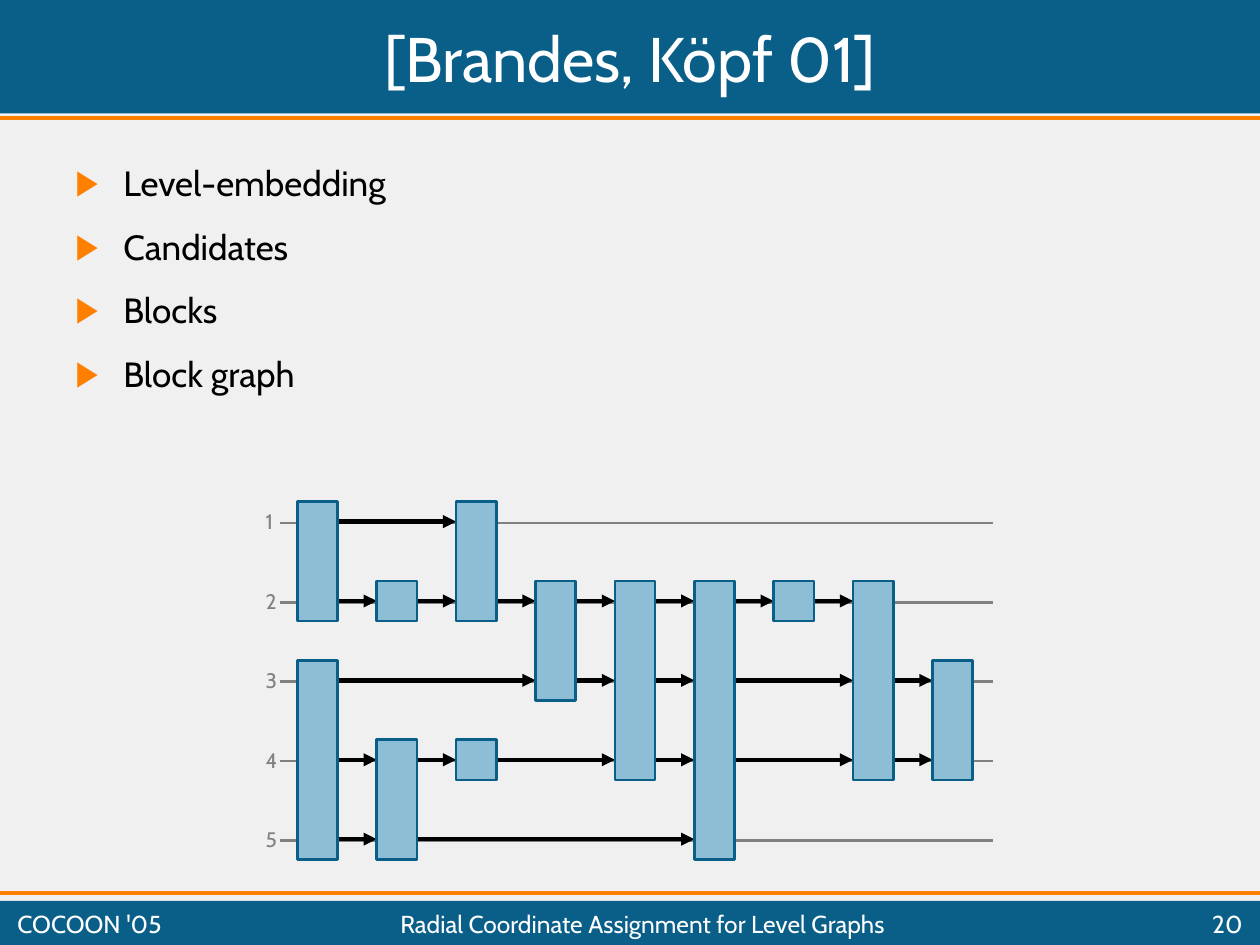
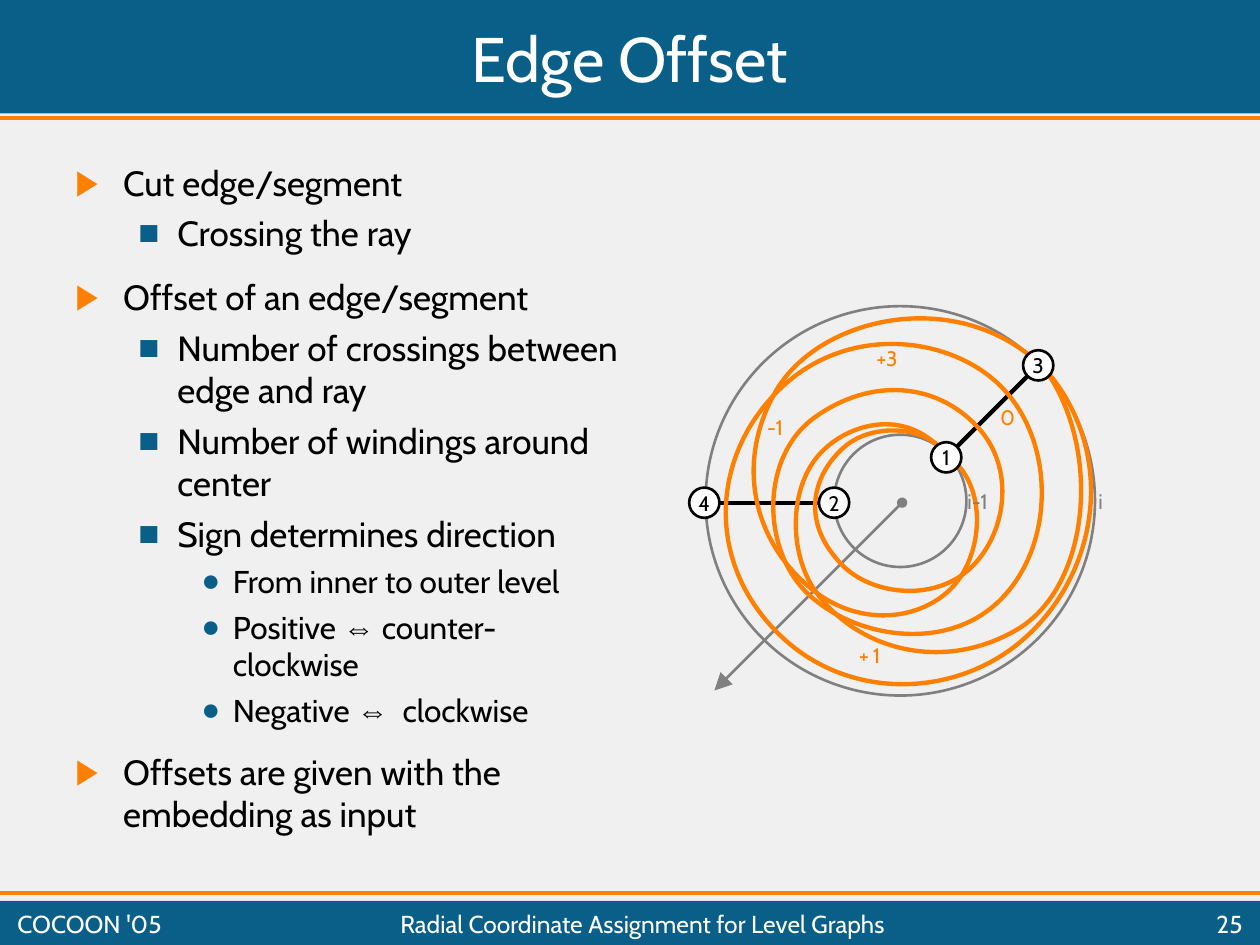
from itertools import pairwise

from lxml.etree import SubElement
from pptx import Presentation
from pptx.dml.color import RGBColor
from pptx.enum.shapes import MSO_CONNECTOR, MSO_SHAPE as SHAPE
from pptx.enum.text import MSO_ANCHOR as ANCHOR, MSO_AUTO_SIZE as AUTO, PP_ALIGN as ALIGN
from pptx.oxml.ns import qn
from pptx.util import Inches, Pt

# Shared style
FONT, SYMBOL_FONT = "Cabin", "Arial"
BLUE, LIGHT_BLUE, ORANGE = "0A5F89", "8EBED6", "FF7F00"
GRAY, PAPER, WHITE, BLACK = "808080", "F0F0F0", "FFFFFF", "000000"
EVENT = "COCOON '05"
TALK = "Radial Coordinate Assignment for Level Graphs"
# Per outline level: bullet, bullet colour, left margin, hang, size, space before
OUTLINE = [
    ("▶", ORANGE, 0.38, 0.38, 20, 12.5),
    ("■", BLUE, 0.81, 0.31, 20, 5),
    ("●", BLUE, 1.25, 0.25, 18, 4.5),
]

# Block graph slide: bullets as (level, text), blocks as (column, first level, last level)
GRAPH_BULLETS = [(0, "Level-embedding"), (0, "Candidates"), (0, "Blocks"), (0, "Block graph")]
BLOCKS = [
    (0, 1, 2), (0, 3, 5), (1, 2, 2), (1, 4, 5), (2, 1, 2), (2, 4, 4),
    (3, 2, 3), (4, 2, 4), (5, 2, 5), (6, 2, 2), (7, 2, 4), (8, 3, 4),
]
LEVELS = range(1, 6)
GRAPH_LEFT, FIRST_LEVEL, STEP, BLOCK_SIZE = 2.36, 4.14, 0.63, 0.32

# Edge offset slide
OFFSET_BULLETS = [
    (0, "Cut edge/segment"),
    (1, "Crossing the ray"),
    (0, "Offset of an edge/segment"),
    (1, "Number of crossings between edge and ray"),
    (1, "Number of windings around center"),
    (1, "Sign determines direction"),
    (2, "From inner to outer level"),
    (2, "Positive ⇔ counter-clockwise"),
    (2, "Negative ⇔  clockwise"),
    (0, "Offsets are given with the embedding as input"),
]
LEVEL_CIRCLES = [(5.6, 2.43, 3.09), (6.62, 3.45, 1.05)]
NODES = {"2": (6.62, 3.99), "4": (5.59, 3.99), "1": (7.51, 3.63), "3": (8.24, 2.9)}
NODE_SIZE = 0.24
STRAIGHT_EDGES = [("4", "2"), ("1", "3")]
OFFSET_LABELS = [
    ("i-1", 7.58, 3.83, 0.39, GRAY), ("i", 8.62, 3.83, 0.24, GRAY),
    ("+3", 6.86, 2.69, 0.39, ORANGE), ("0", 7.84, 3.16, 0.27, ORANGE),
    ("1", 6.83, 5.05, 0.29, ORANGE), ("-1", 5.99, 3.24, 0.35, ORANGE),
    ("+", 6.72, 5.05, 0.29, ORANGE),
]
# Spirals: a start point, then Bézier pieces (two controls and an end)
SPIRALS = [
    ((7.52, 3.63), [
        (7.23, 3.23, 6.74, 3.34, 6.5, 3.61), (6.26, 3.88, 6.26, 4.39, 6.47, 4.69),
        (6.82, 5.18, 7.52, 5.34, 8.1, 4.98), (8.67, 4.61, 8.74, 3.51, 8.27, 2.9)]),
    ((7.51, 3.61), [
        (7.86, 3.85, 7.8, 4.43, 7.54, 4.68), (7.28, 4.93, 6.82, 4.97, 6.46, 4.69),
        (5.99, 4.32, 5.82, 3.69, 6.16, 3.1), (6.5, 2.52, 7.57, 2.27, 8.24, 2.88)]),
    ((7.51, 3.63), [
        (7.41, 3.39, 6.95, 3.34, 6.71, 3.54), (6.47, 3.74, 6.33, 4.12, 6.68, 4.48),
        (6.91, 4.72, 7.4, 4.78, 7.69, 4.52), (7.99, 4.25, 8.07, 3.71, 7.75, 3.38),
        (7.43, 3.04, 6.92, 2.99, 6.47, 3.31), (6.03, 3.62, 6.04, 4.37, 6.42, 4.72),
        (6.8, 5.07, 7.52, 5.18, 7.94, 4.76), (8.36, 4.34, 8.37, 3.58, 8.01, 3.14),
        (7.65, 2.69, 6.8, 2.54, 6.23, 3.05), (5.66, 3.56, 5.58, 4.41, 6.15, 5),
        (6.71, 5.59, 7.64, 5.55, 8.18, 5.02), (8.73, 4.49, 8.87, 3.55, 8.26, 2.89)]),
]


def color(value):
    return RGBColor.from_string(value)


def set_font(para, size, value):
    para.font.name, para.font.size = FONT, Pt(size)
    para.font.color.rgb = color(value)


def set_look(shape, fill=None, line=None, width=1.5):
    shape.shadow.inherit = False
    if fill:
        shape.fill.solid()
        shape.fill.fore_color.rgb = color(fill)
    else:
        shape.fill.background()
    if line:
        shape.line.color.rgb = color(line)
        shape.line.width = Pt(width)
    else:
        shape.line.fill.background()


def add_shape(page, kind, left, top, width, height, **look):
    shape = page.shapes.add_shape(kind, *map(Inches, (left, top, width, height)))
    set_look(shape, **look)
    return shape


def add_line(page, start, end, value, width, head=None, tail=None, size="med"):
    line = page.shapes.add_connector(MSO_CONNECTOR.STRAIGHT, *map(Inches, (*start, *end)))
    line.line.color.rgb = color(value)
    line.line.width = Pt(width)
    outline = line.line._get_or_add_ln()
    if head:
        SubElement(outline, qn("a:headEnd"), type=head)
    if tail:
        SubElement(outline, qn("a:tailEnd"), type=tail, w=size, len=size)
    SubElement(line._element.spPr, qn("a:effectLst"))


def add_curve(page, start, pieces, value, width):
    points = [piece[i:i + 2] for piece in pieces for i in (0, 2, 4)]
    builder = page.shapes.build_freeform(*map(Inches, start))
    builder.add_line_segments([tuple(map(Inches, point)) for point in points], close=False)
    curve = builder.convert_to_shape()
    set_look(curve, line=value, width=width)
    # Every three line segments become one Bézier segment
    segments = list(curve._element.iter(qn("a:lnTo")))
    outline = segments[0].getparent()
    for index in range(0, len(segments), 3):
        bezier = SubElement(outline, qn("a:cubicBezTo"))
        for segment in segments[index:index + 3]:
            bezier.append(segment[0])
            outline.remove(segment)


def add_text(page, text, at, size, value, align=ALIGN.LEFT, anchor=ANCHOR.MIDDLE):
    box = page.shapes.add_textbox(*map(Inches, at))
    frame = box.text_frame
    frame.word_wrap, frame.vertical_anchor = True, anchor
    para = frame.paragraphs[0]
    para.text, para.alignment = text, align
    set_font(para, size, value)
    return frame


def add_label(page, text, left, top, width, value):
    frame = add_text(page, text, (left, top, width, 0.3), 12, value, anchor=ANCHOR.TOP)
    frame.word_wrap, frame.auto_size = False, AUTO.SHAPE_TO_FIT_TEXT


def add_bullets(page, items, width, height):
    box = page.shapes.add_textbox(*map(Inches, (0.5, 1.23, width, height)))
    frame = box.text_frame
    frame.word_wrap = True
    for index, (level, text) in enumerate(items):
        bullet, bullet_color, margin, hang, size, gap = OUTLINE[level]
        para = frame.add_paragraph() if index else frame.paragraphs[0]
        para.level, para.space_before = level, Pt(gap)
        props = para._p.get_or_add_pPr()
        props.set("marL", str(Inches(margin)))
        props.set("indent", str(-Inches(hang)))
        SubElement(SubElement(props, qn("a:buClr")), qn("a:srgbClr"), val=bullet_color)
        SubElement(props, qn("a:buFont"), typeface=SYMBOL_FONT)
        SubElement(props, qn("a:buChar"), char=bullet)
        set_font(para, size, BLACK)
        # The arrow sign takes the symbol font
        before, sign, after = text.partition("⇔")
        for part in filter(None, (before, sign, after)):
            span = para.add_run()
            span.text = part
            if part == sign:
                span.font.name = SYMBOL_FONT


def add_page(deck, title, number):
    page = deck.slides.add_slide(deck.slide_layouts[6])
    page.background.fill.solid()
    page.background.fill.fore_color.rgb = color(PAPER)
    for top, height in ((0, 0.9), (7.15, 0.35)):
        add_shape(page, SHAPE.RECTANGLE, 0, top, 10, height, fill=BLUE)
    for y in (0.94, 7.09):
        add_line(page, (0, y), (10, y), ORANGE, 2.25)
    add_text(page, title, (0.04, 0.04, 9.92, 0.83), 36, WHITE, ALIGN.CENTER)
    for text, left, width, align in (
        (EVENT, 0.04, 1.44, ALIGN.LEFT),
        (TALK, 1.5, 7.2, ALIGN.CENTER),
        (str(number), 8.78, 1.18, ALIGN.RIGHT),
    ):
        add_text(page, text, (left, 7.19, width, 0.28), 14, WHITE, align)
    return page


def add_block_graph(page):
    def column_x(column):
        return GRAPH_LEFT + STEP * column

    def level_y(level):
        return FIRST_LEVEL + STEP * (level - 1)

    # Level lines with their numbers
    for level in LEVELS:
        y = level_y(level) + 0.01
        add_line(page, (2.22, y), (7.88, y), GRAY, 1.5)
        add_label(page, str(level), 2.01, y - 0.16, 0.29, GRAY)
    # On each level an arrow joins every block to the next
    for level in LEVELS:
        columns = sorted(col for col, first, last in BLOCKS if first <= level <= last)
        y = level_y(level)
        for source, target in pairwise(columns):
            add_line(page, (column_x(source) + BLOCK_SIZE, y), (column_x(target), y),
                     BLACK, 2.5, tail="triangle")
    for column, first, last in BLOCKS:
        add_shape(page, SHAPE.RECTANGLE, column_x(column), level_y(first) - BLOCK_SIZE / 2,
                  BLOCK_SIZE, STEP * (last - first) + BLOCK_SIZE, fill=LIGHT_BLUE, line=BLUE)


def add_radial_drawing(page):
    for left, top, size in LEVEL_CIRCLES:
        add_shape(page, SHAPE.OVAL, left, top, size, size, line=GRAY)
    for source, target in STRAIGHT_EDGES:
        add_line(page, NODES[source], NODES[target], BLACK, 2.5)
    # Ray
    add_line(page, (7.16, 3.99), (5.67, 5.48), GRAY, 1.5, "oval", "triangle", "lg")
    # Winding edges
    for start, pieces in SPIRALS:
        add_curve(page, start, pieces, ORANGE, 2.5)
    for name, (x, y) in NODES.items():
        node = add_shape(page, SHAPE.OVAL, x - NODE_SIZE / 2, y - NODE_SIZE / 2,
                         NODE_SIZE, NODE_SIZE, fill=WHITE, line=BLACK)
        frame = node.text_frame
        frame.word_wrap, frame.vertical_anchor = False, ANCHOR.MIDDLE
        para = frame.paragraphs[0]
        para.text, para.alignment = name, ALIGN.CENTER
        set_font(para, 12, BLACK)
    for label in OFFSET_LABELS:
        add_label(page, *label)


def main():
    deck = Presentation()
    deck.slide_width, deck.slide_height = Inches(10), Inches(7.5)

    page = add_page(deck, "[Brandes, Köpf 01]", 20)
    add_bullets(page, GRAPH_BULLETS, 4.49, 2.52)
    add_block_graph(page)

    page = add_page(deck, "Edge Offset", 25)
    add_bullets(page, OFFSET_BULLETS, 4.53, 5.67)
    add_radial_drawing(page)

    deck.save("out.pptx")


if __name__ == "__main__":
    main()
